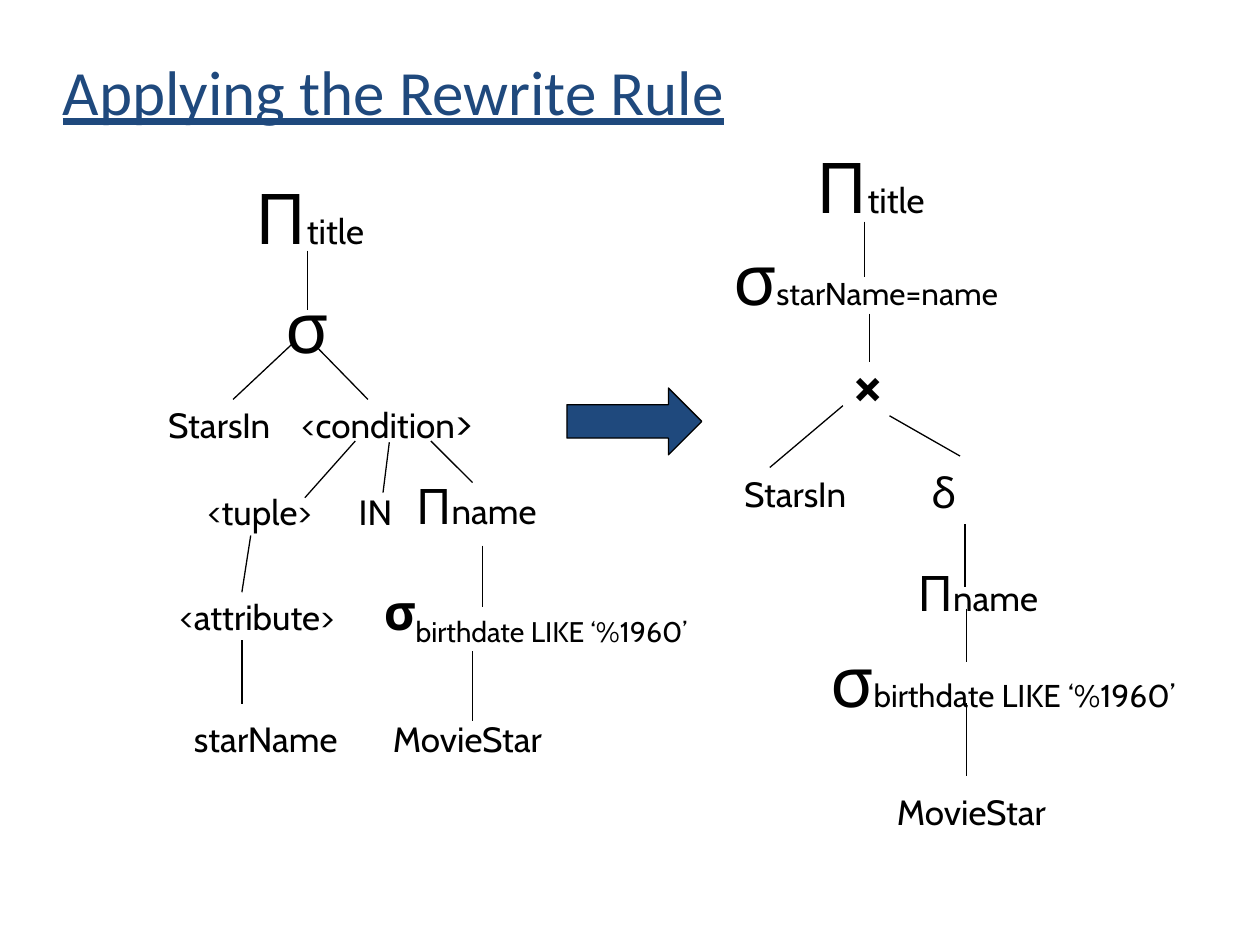
"""Build the slide that shows a rewrite rule applied to a query tree."""
from dataclasses import dataclass

from lxml import etree
from pptx import Presentation
from pptx.dml.color import RGBColor
from pptx.enum.shapes import MSO_CONNECTOR, MSO_SHAPE
from pptx.enum.text import MSO_ANCHOR, PP_ALIGN
from pptx.oxml.ns import qn
from pptx.util import Inches, Pt

LINE = MSO_CONNECTOR.STRAIGHT
ARROW = MSO_SHAPE.RIGHT_ARROW
MIDDLE = MSO_ANCHOR.MIDDLE
CENTER = PP_ALIGN.CENTER


@dataclass(frozen=True)
class Theme:
    ink: RGBColor = RGBColor(0, 0, 0)
    blue: RGBColor = RGBColor(0x1F, 0x49, 0x7D)
    head: str = "Calibri"
    body: str = "Cabin"
    title: int = 36
    huge: int = 40
    big: int = 28
    mid: int = 24
    base: int = 20
    small: int = 18
    rule: float = 0.75


class Board:
    def __init__(self, slide, theme):
        self.slide = slide
        self.theme = theme

    def title(self, text, x, y, w, h):
        box = self.slide.shapes.add_textbox(*map(Inches, (x, y, w, h)))
        frame = box.text_frame
        frame.word_wrap = True
        frame.vertical_anchor = MIDDLE
        frame.text = text
        font = frame.paragraphs[0].runs[0].font
        font.name, font.size = self.theme.head, Pt(self.theme.title)
        font.color.rgb = self.theme.blue
        font.underline = True

    def node(self, x, y, w, *parts, bold=False, sub=False):
        h = max(size for _, size in parts) / 60 + 0.1
        box = self.slide.shapes.add_textbox(
            *map(Inches, (x - w / 2, y - h / 2, w, h)))
        frame = box.text_frame
        frame.word_wrap = False
        frame.vertical_anchor = MIDDLE
        para = frame.paragraphs[0]
        para.alignment = CENTER
        for i, (text, size) in enumerate(parts):
            run = para.add_run()
            run.text = text
            font = run.font
            font.name, font.size = self.theme.body, Pt(size)
            font.color.rgb = self.theme.ink
            font.bold = bold and i == 0
            if sub and i > 0:
                run._r.get_or_add_rPr().set("baseline", "-25000")

    def edge(self, *ends):
        line = self.slide.shapes.add_connector(LINE, *map(Inches, ends))
        line.line.color.rgb = self.theme.ink
        line.line.width = Pt(self.theme.rule)
        etree.SubElement(line._element.spPr, qn("a:effectLst"))

    def arrow(self, x, y, w, h):
        shape = self.slide.shapes.add_shape(ARROW, *map(Inches, (x, y, w, h)))
        shape.shadow.inherit = False
        shape.fill.solid()
        shape.fill.fore_color.rgb = self.theme.blue
        shape.line.color.rgb = self.theme.ink
        shape.line.width = Pt(self.theme.rule)


def before(board):
    t = board.theme
    board.node(2.46, 1.72, 1.09, ("Π", t.huge), ("title", t.base))
    board.node(2.44, 2.58, 0.54, ("σ", t.huge))
    board.node(3.07, 3.35, 1.6, ("<condition", t.base), (">", t.mid))
    for text, x, y, w in (
        ("StarsIn", 1.74, 3.37, 1.05),
        ("<tuple>", 2.06, 4.06, 1.05),
        ("IN", 2.98, 4.06, 0.5),
        ("<attribute>", 2.04, 4.89, 1.45),
        ("starName", 2.11, 5.86, 1.4),
        ("MovieStar", 3.71, 5.86, 1.4),
    ):
        board.node(x, y, w, (text, t.base))
    board.node(3.78, 4.01, 1.18, ("Π", t.big), ("name", t.base))
    board.node(4.25, 4.88, 3.4, ("σ", t.big),
               ("birthdate LIKE ‘%1960’", t.big), bold=True, sub=True)
    for ends in (
        (2.44, 1.99, 2.44, 2.46),
        (2.33, 2.72, 1.85, 3.17),
        (2.51, 2.75, 2.92, 3.17),
        (2.82, 3.5, 2.42, 3.95),
        (3.09, 3.51, 3.04, 3.91),
        (3.42, 3.5, 3.75, 3.83),
        (1.99, 4.25, 1.92, 4.7),
        (1.92, 5.08, 1.92, 5.59),
        (3.83, 4.33, 3.83, 4.82),
        (3.75, 5.17, 3.75, 5.72),
    ):
        board.edge(*ends)


def after(board):
    t = board.theme
    board.node(6.91, 1.47, 1.09, ("Π", t.huge), ("title", t.base))
    board.node(6.87, 2.2, 2.39, ("σ", t.huge), ("starName=name", t.small))
    board.node(6.89, 3.03, 0.51, ("×", t.huge), bold=True)
    board.node(6.31, 3.92, 1.05, ("StarsIn", t.base))
    board.node(7.49, 3.9, 0.4, ("δ", t.mid))
    board.node(7.76, 4.7, 1.18, ("Π", t.big), ("name", t.base))
    board.node(7.96, 5.39, 3.09, ("σ", t.huge),
               ("birthdate LIKE ‘%1960’", t.small))
    board.node(7.71, 6.44, 1.4, ("MovieStar", t.base))
    for ends in (
        (6.86, 1.76, 6.86, 2.2),
        (6.9, 2.49, 6.9, 2.87),
        (6.69, 3.22, 6.11, 3.71),
        (7.06, 3.3, 7.62, 3.62),
        (7.66, 4.16, 7.66, 4.66),
        (7.67, 4.83, 7.67, 5.25),
        (7.67, 5.58, 7.67, 6.16),
    ):
        board.edge(*ends)


def main():
    deck = Presentation()
    deck.slide_width, deck.slide_height = Inches(10), Inches(7.5)
    board = Board(deck.slides.add_slide(deck.slide_layouts[6]), Theme())
    board.title("Applying the Rewrite Rule", 0.4, 0.23, 9.16, 0.97)
    before(board)
    board.arrow(4.5, 3.08, 1.07, 0.53)
    after(board)
    deck.save("out.pptx")


if __name__ == "__main__":
    main()
